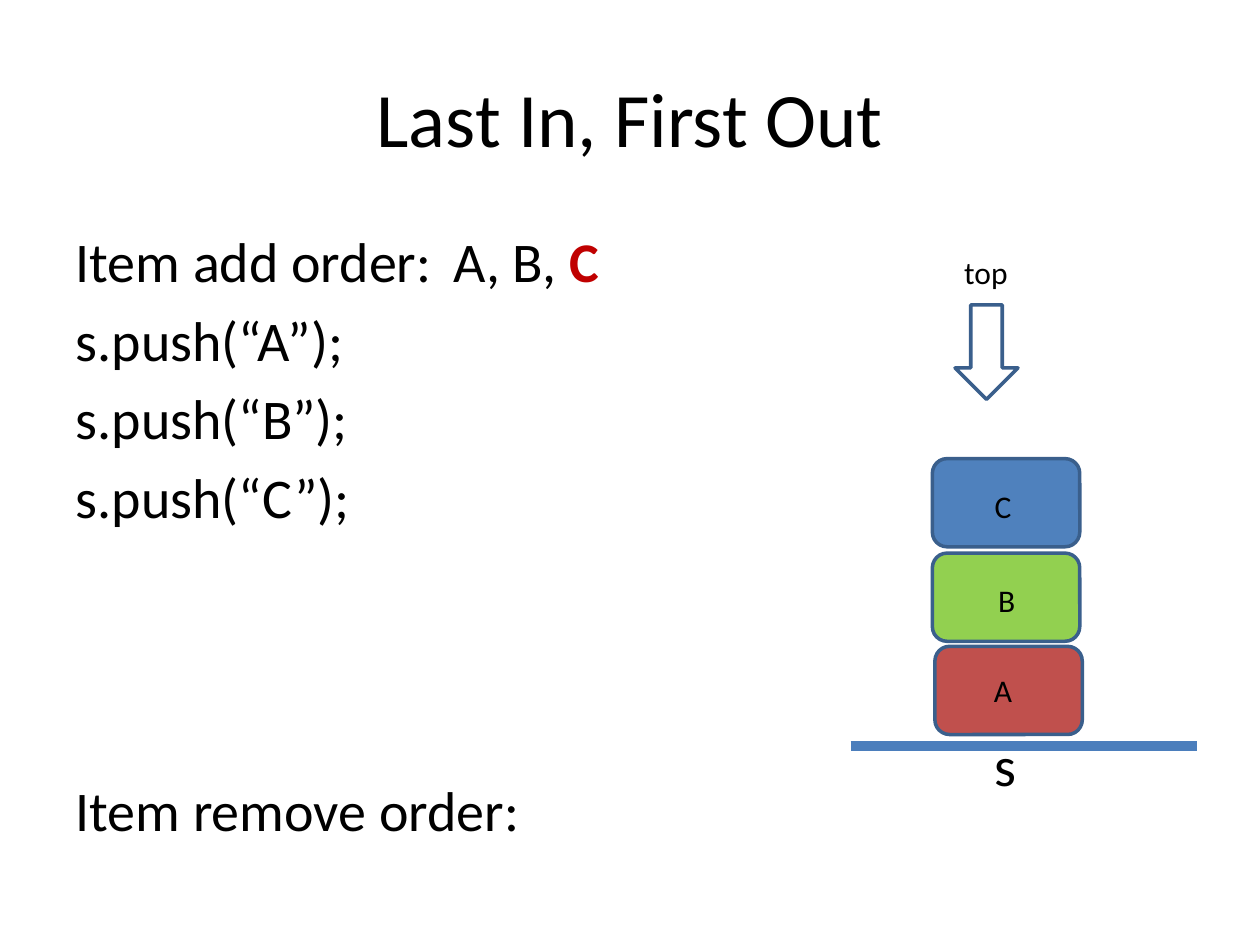
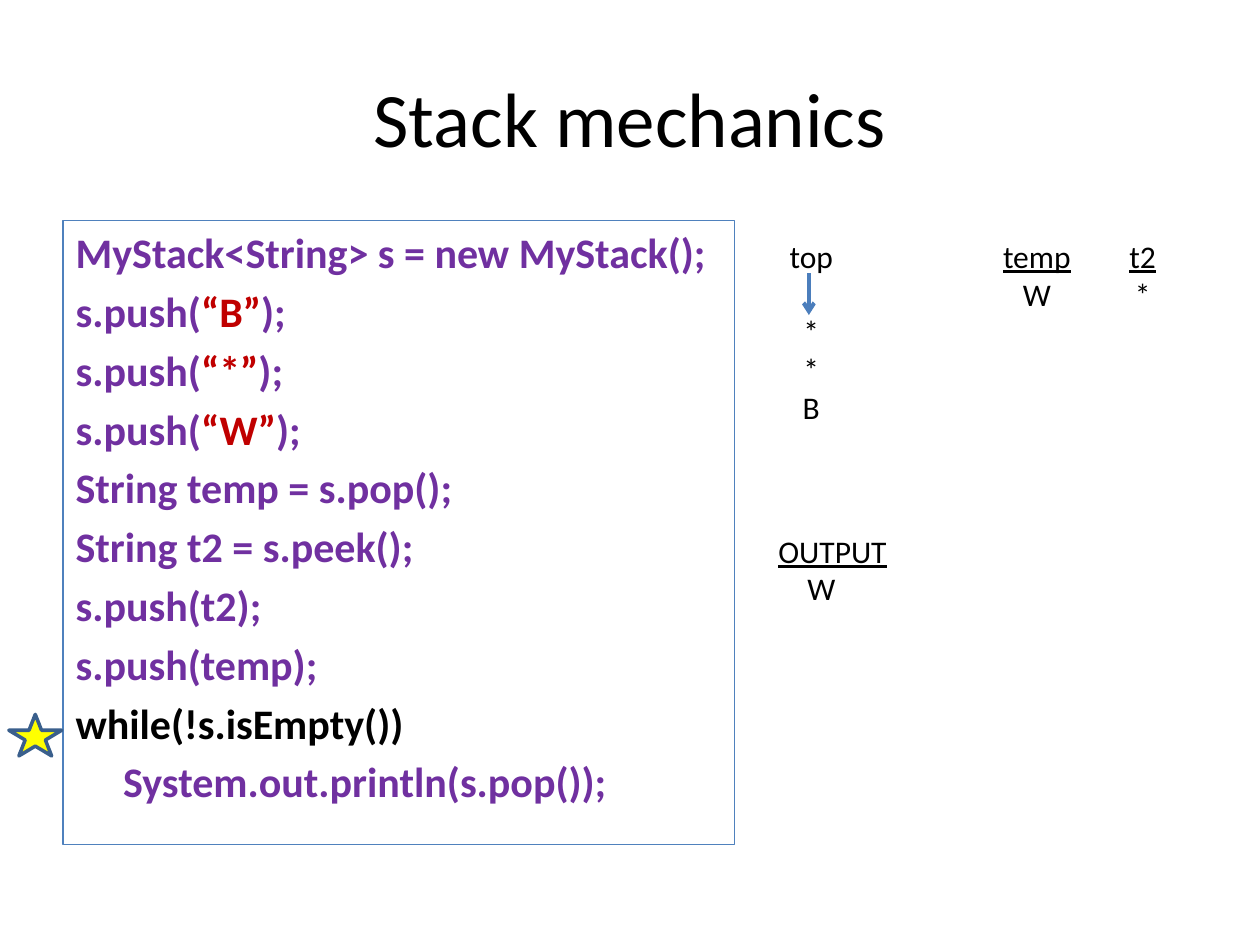
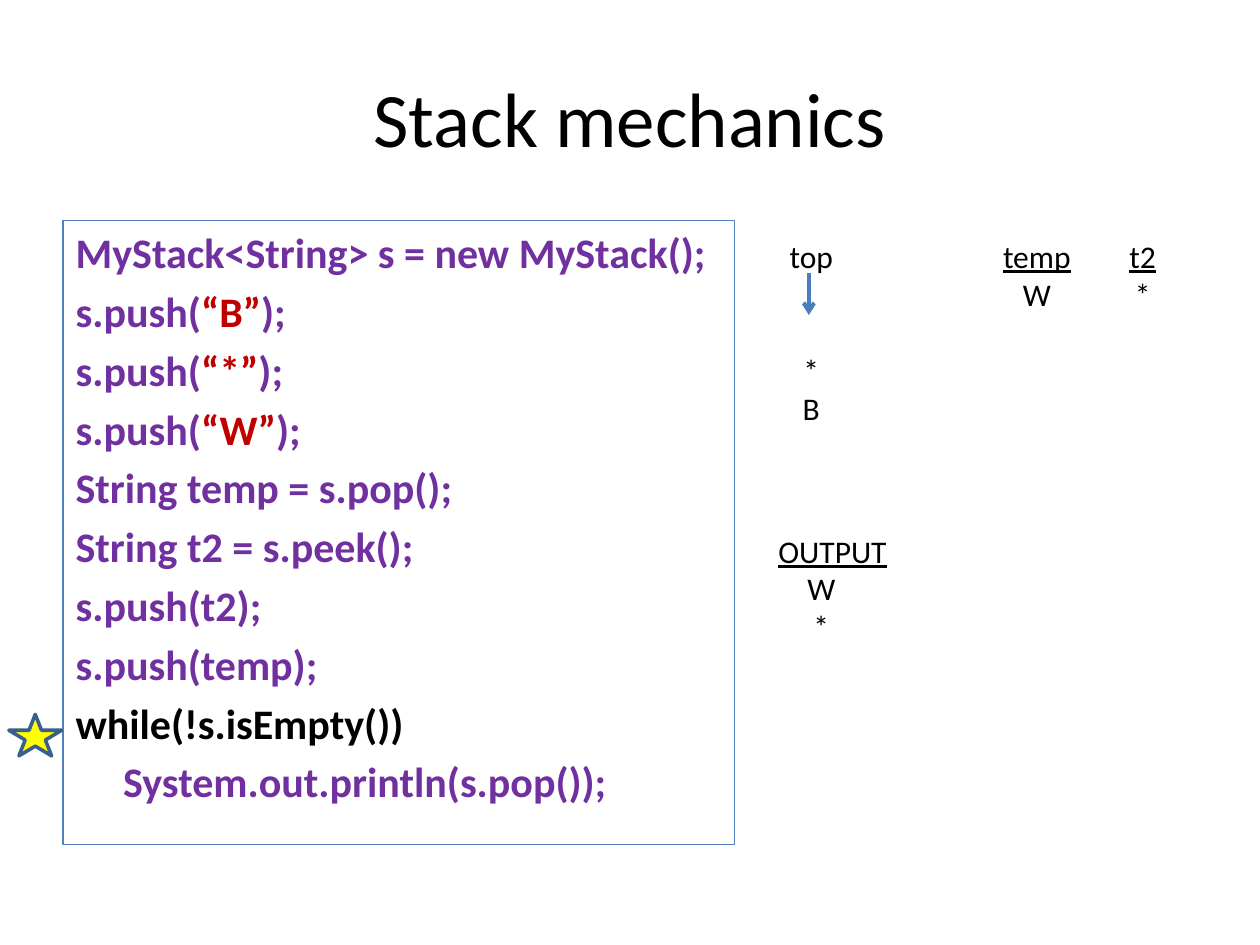
from lxml.etree import SubElement
from pptx import Presentation
from pptx.dml.color import RGBColor
from pptx.enum.shapes import MSO_CONNECTOR, MSO_SHAPE
from pptx.enum.text import MSO_ANCHOR, MSO_AUTO_SIZE, PP_ALIGN
from pptx.oxml.ns import qn
from pptx.util import Inches, Pt

COLORS = {
    "text": "000000",
    "code": "7030A0",
    "accent": "C00000",
    "frame": "4F81BD",
    "outline": "3A5F8C",
    "rule": "4B7EBC",
    "red": "C0504D",
    "green": "92D050",
    "blue": "4F81BD",
    "star": "FFFF00",
}
FONT = "Calibri"


def rgb(name):
    return RGBColor.from_string(COLORS[name])


def add_span(para, text, size=18, color="text", bold=False, underline=False):
    span = para.add_run()
    span.text = text
    span.font.name = FONT
    span.font.size = Pt(size)
    span.font.color.rgb = rgb(color)
    span.font.bold = bold
    span.font.underline = underline


def next_paragraph(frame, number):
    return frame.paragraphs[0] if number == 0 else frame.add_paragraph()


def set_tabs(para, stops):
    tab_list = SubElement(para._p.get_or_add_pPr(), qn("a:tabLst"))
    for stop in stops:
        SubElement(tab_list, qn("a:tab"), pos=str(Inches(stop)), algn="ctr")


def remove_bullet(para):
    properties = para._p.get_or_add_pPr()
    properties.set("marL", "0")
    properties.set("indent", "0")
    SubElement(properties, qn("a:buNone"))


def add_page(deck, title):
    page = deck.slides.add_slide(deck.slide_layouts[1])
    box = page.shapes.title
    box.left, box.top = Inches(0.5), Inches(0.3)
    box.width, box.height = Inches(9), Inches(1.25)
    frame = box.text_frame
    frame.vertical_anchor = MSO_ANCHOR.MIDDLE
    para = frame.paragraphs[0]
    para.alignment = PP_ALIGN.CENTER
    add_span(para, title, size=44)
    return page


def fill_body(page, lines, width, size):
    body = page.placeholders[1]
    body.left, body.top = Inches(0.5), Inches(1.75)
    body.width, body.height = Inches(width), Inches(4.95)
    frame = body.text_frame
    frame.auto_size = MSO_AUTO_SIZE.NONE
    for number, spans in enumerate(lines):
        para = next_paragraph(frame, number)
        remove_bullet(para)
        if number == 0:
            para.space_before = Pt(0)
        for text, style in spans:
            add_span(para, text, size=size, **style)
    return body


def add_text_box(page, left, top, width, height):
    box = page.shapes.add_textbox(
        Inches(left), Inches(top), Inches(width), Inches(height))
    box.text_frame.word_wrap = True
    return box.text_frame


def add_label(page, text, left, top, width, height=0.4, size=18):
    para = add_text_box(page, left, top, width, height).paragraphs[0]
    para.alignment = PP_ALIGN.CENTER
    add_span(para, text, size=size)


def add_tabbed_rows(page, rows, stops, left, top, width, height):
    frame = add_text_box(page, left, top, width, height)
    for number, spans in enumerate(rows):
        para = next_paragraph(frame, number)
        set_tabs(para, stops)
        for text, underline in spans:
            add_span(para, text, underline=underline)
    return frame


def add_outlined_shape(page, kind, left, top, width, height, fill=None):
    shape = page.shapes.add_shape(
        kind, Inches(left), Inches(top), Inches(width), Inches(height))
    shape.shadow.inherit = False
    if fill:
        shape.fill.solid()
        shape.fill.fore_color.rgb = rgb(fill)
    else:
        shape.fill.background()
    shape.line.color.rgb = rgb("outline")
    shape.line.width = Pt(2)


def add_line(page, start, end, width, arrow=False):
    line = page.shapes.add_connector(
        MSO_CONNECTOR.STRAIGHT, *[Inches(value) for value in start + end])
    line.line.color.rgb = rgb("rule")
    line.line.width = Pt(width)
    if arrow:
        SubElement(line.line._get_or_add_ln(), qn("a:tailEnd"), type="arrow")
    SubElement(line._element.spPr, qn("a:effectLst"))


def add_order_page(deck):
    page = add_page(deck, "Last In, First Out")
    accent = {"color": "accent", "bold": True}
    lines = [[("Item add order:\tA, B, ", {}), ("C", accent)]]
    lines += [[(f"s.push(“{item}”);", {})] for item in "ABC"]
    lines.append([("Item remove order:", {})])
    body = fill_body(page, lines, width=9, size=32)
    body.text_frame.paragraphs[-1].space_before = Pt(140.4)

    add_outlined_shape(page, MSO_SHAPE.DOWN_ARROW, 7.58, 2.42, 0.5, 0.75)
    add_line(page, (6.75, 5.92), (9.5, 5.92), width=6)
    add_label(page, "s", 7.52, 5.75, 0.92, height=0.64, size=32)
    blocks = [
        ("A", "red", 7.42, 5.13, 7.74, 5.28),
        ("B", "green", 7.4, 4.39, 7.77, 4.56),
        ("C", "blue", 7.4, 3.64, 7.74, 3.82),
    ]
    for item, fill, left, top, label_left, label_top in blocks:
        add_outlined_shape(
            page, MSO_SHAPE.ROUNDED_RECTANGLE, left, top, 1.17, 0.7, fill)
        add_label(page, item, label_left, label_top, 0.44)
    add_label(page, "top", 7.41, 1.96, 0.83)


def code_lines():
    code = {"color": "code", "bold": True}
    literal = {"color": "accent", "bold": True}
    current = {"bold": True}
    pushes = [[("s.push(", code), (f"“{item}”", literal), (");", code)]
              for item in "B*W"]
    calls = ["String temp = s.pop();", "String t2 = s.peek();",
             "s.push(t2);", "s.push(temp);"]
    return [
        [("MyStack<String> s = new MyStack();", code)],
        *pushes,
        *[[(call, code)] for call in calls],
        [("while(!s.isEmpty())", current)],
        [("     System.out.println(s.pop());", code)],
    ]


def add_mechanics_page(deck, stack, gap, output, output_height):
    page = add_page(deck, "Stack mechanics")
    body = fill_body(page, code_lines(), width=5.33, size=24)
    body.line.color.rgb = rgb("frame")
    body.line.width = Pt(0.75)

    variables = [
        [("\ttop\t", False), ("temp", True), ("\t", False), ("t2", True)],
        [("\t\tW\t*", False)],
    ]
    rows = variables + [[(f"\t{item}", False)] for item in stack]
    frame = add_tabbed_rows(
        page, rows, (0.45, 2.24, 3.08), 5.89, 1.83, 4.11, 2.22)
    frame.paragraphs[len(variables)].space_before = Pt(gap)

    printed = [[("OUTPUT", True)]] + [[(f"\t{item}", False)] for item in output]
    add_tabbed_rows(page, printed, (0.34,), 6.08, 4.17, 3.5, output_height)
    add_line(page, (6.42, 2.17), (6.42, 2.5), width=2.25, arrow=True)
    add_outlined_shape(
        page, MSO_SHAPE.STAR_5_POINT, 0.07, 5.67, 0.42, 0.33, "star")


def main():
    deck = Presentation()
    deck.slide_width, deck.slide_height = Inches(10), Inches(7.5)
    add_order_page(deck)
    add_mechanics_page(deck, "**B", 0, "W", 0.71)
    add_mechanics_page(deck, "*B", 22, "W*", 1.01)
    deck.save("out.pptx")


if __name__ == "__main__":
    main()
